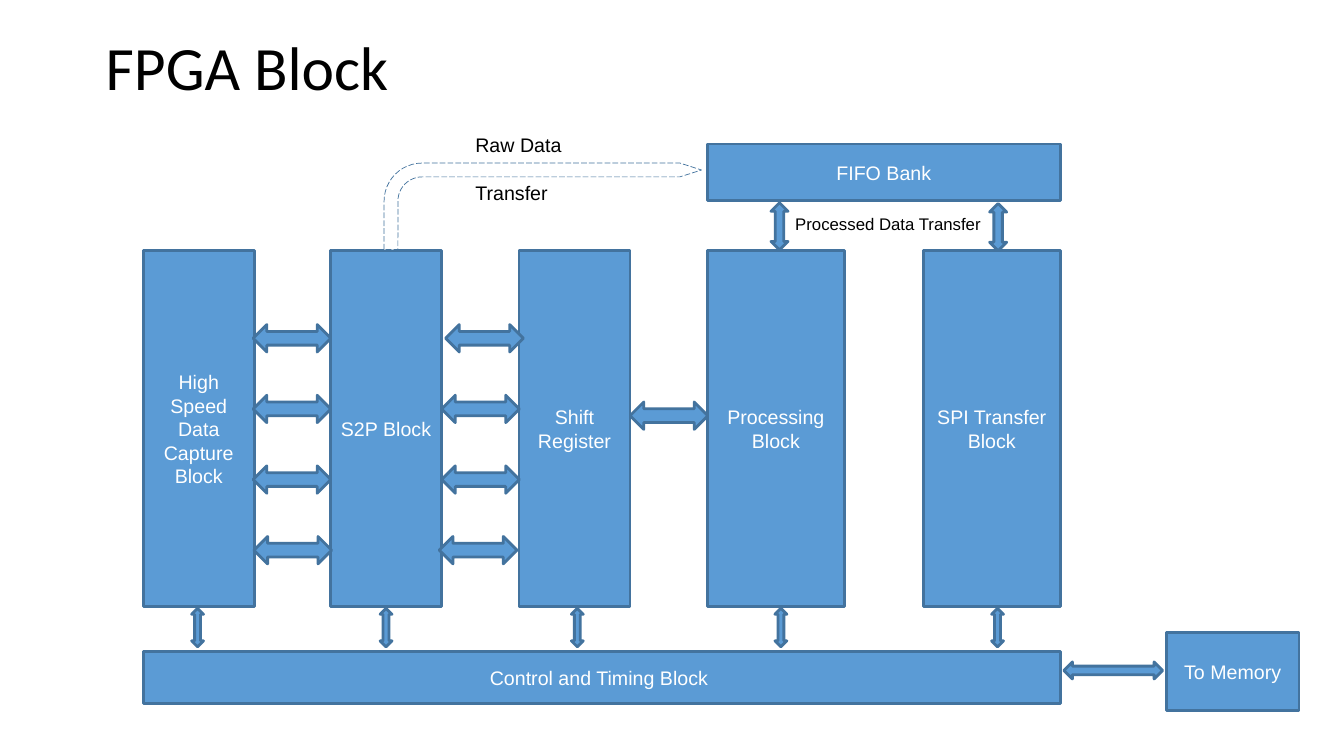
from pptx import Presentation
from pptx.dml.color import RGBColor
from pptx.enum.dml import MSO_LINE
from pptx.enum.shapes import MSO_SHAPE as Preset
from pptx.enum.text import MSO_ANCHOR as Anchor, PP_ALIGN as Align
from pptx.util import Cm, Pt

BLUE = RGBColor(0x5B, 0x9B, 0xD5)
OUTLINE = RGBColor(0x43, 0x73, 0x9E)
WHITE = RGBColor(0xFF, 0xFF, 0xFF)
BLACK = RGBColor(0x00, 0x00, 0x00)

BLOCK_TOP, BLOCK_HEIGHT = 6.32, 8.97
NARROW, WIDE = 2.8, 3.45
BLOCKS = [
    (3.61, NARROW, ["High Speed Data Capture", "Block"]),
    (8.33, NARROW, ["S2P Block"]),
    (13.08, NARROW, ["Shift Register"]),
    (17.83, WIDE, ["Processing Block"]),
    (23.27, WIDE, ["SPI Transfer Block"]),
]
LANE_TOP, LANE_STEP = 8.18, 1.78
CAPTURE_LANES = [6.38, 6.38, 6.38, 6.4]
S2P_LANES = [11.23, 11.13, 11.13, 11.07]
CONTROL_LINKS = [4.83, 9.58, 14.4, 19.53, 24.99]
FIFO_LINKS = [(19.43, 5.11), (24.94, 5.13)]


def box(left, top, width, height):
    return Cm(left), Cm(top), Cm(width), Cm(height)


def format_text(frame, lines, size, color, align):
    frame.word_wrap = True
    frame.text = "\n".join(lines)
    for paragraph in frame.paragraphs:
        paragraph.alignment = align
        paragraph.font.size = Pt(size)
        paragraph.font.name = "Arial"
        paragraph.font.color.rgb = color


def add_preset(slide, preset, place, fill=BLUE, line_width=2):
    shape = slide.shapes.add_shape(preset, *box(*place))
    shape.shadow.inherit = False
    shape.fill.solid()
    shape.fill.fore_color.rgb = fill
    shape.line.color.rgb = OUTLINE
    shape.line.width = Pt(line_width)
    return shape


def add_block(slide, place, lines):
    block = add_preset(slide, Preset.RECTANGLE, place)
    block.text_frame.vertical_anchor = Anchor.MIDDLE
    format_text(block.text_frame, lines, 14, WHITE, Align.CENTER)


def add_lane(slide, left, top):
    add_preset(slide, Preset.LEFT_RIGHT_ARROW, (left, top, 1.96, 0.69))


def add_raw_data_arrow(slide):
    arrow = add_preset(slide, Preset.BENT_ARROW, (9.68, 4.11, 8, 2.18), WHITE, 0.5)
    arrow.line.dash_style = MSO_LINE.LONG_DASH
    for index, value in enumerate([0.17, 0.08, 0.25, 0.44]):
        arrow.adjustments[index] = value


def add_label(slide, place, lines, size):
    frame = slide.shapes.add_textbox(*box(*place)).text_frame
    format_text(frame, lines, size, BLACK, Align.LEFT)
    return frame


def set_title(slide, text):
    title = slide.shapes.title
    title.left, title.top, title.width, title.height = box(2.41, 0.64, 29.21, 2.29)
    title.text_frame.text = text
    title.text_frame.vertical_anchor = Anchor.MIDDLE
    heading = title.text_frame.paragraphs[0]
    heading.alignment = Align.LEFT
    heading.line_spacing = 0.9
    heading.font.size = Pt(44)
    heading.font.name = "Calibri"
    heading.font.color.rgb = BLACK


def main():
    deck = Presentation()
    deck.slide_width, deck.slide_height = Cm(33.87), Cm(19.05)
    slide = deck.slides.add_slide(deck.slide_layouts[5])
    set_title(slide, "FPGA Block")

    for left, width, lines in BLOCKS:
        add_block(slide, (left, BLOCK_TOP, width, BLOCK_HEIGHT), lines)
    for lanes in (CAPTURE_LANES, S2P_LANES):
        for row, left in enumerate(lanes):
            add_lane(slide, left, LANE_TOP + row * LANE_STEP)
    add_lane(slide, 15.88, 10.13)

    add_block(slide, (3.61, 16.41, 23.11, 1.32), ["Control and Timing Block "])
    add_block(slide, (17.83, 3.63, 8.89, 1.42), ["FIFO Bank"])
    for left in CONTROL_LINKS:
        add_preset(slide, Preset.UP_DOWN_ARROW, (left, 15.33, 0.3, 0.97))
    memory_link = add_preset(slide, Preset.UP_DOWN_ARROW, (27.84, 15.65, 0.43, 2.49))
    memory_link.rotation = 90
    add_block(slide, (29.39, 15.93, 3.35, 1.98), ["To Memory"])
    for left, top in FIFO_LINKS:
        add_preset(slide, Preset.UP_DOWN_ARROW, (left, top, 0.43, 1.19))

    add_raw_data_arrow(slide)
    raw_data = add_label(slide, (11.73, 3.23, 3.86, 2.06), ["Raw Data", "Transfer"], 14)
    raw_data.paragraphs[1].space_before = Pt(17)
    add_label(slide, (19.79, 5.26, 5.89, 0.76), ["Processed Data Transfer"], 12)

    deck.save("out.pptx")


if __name__ == "__main__":
    main()
